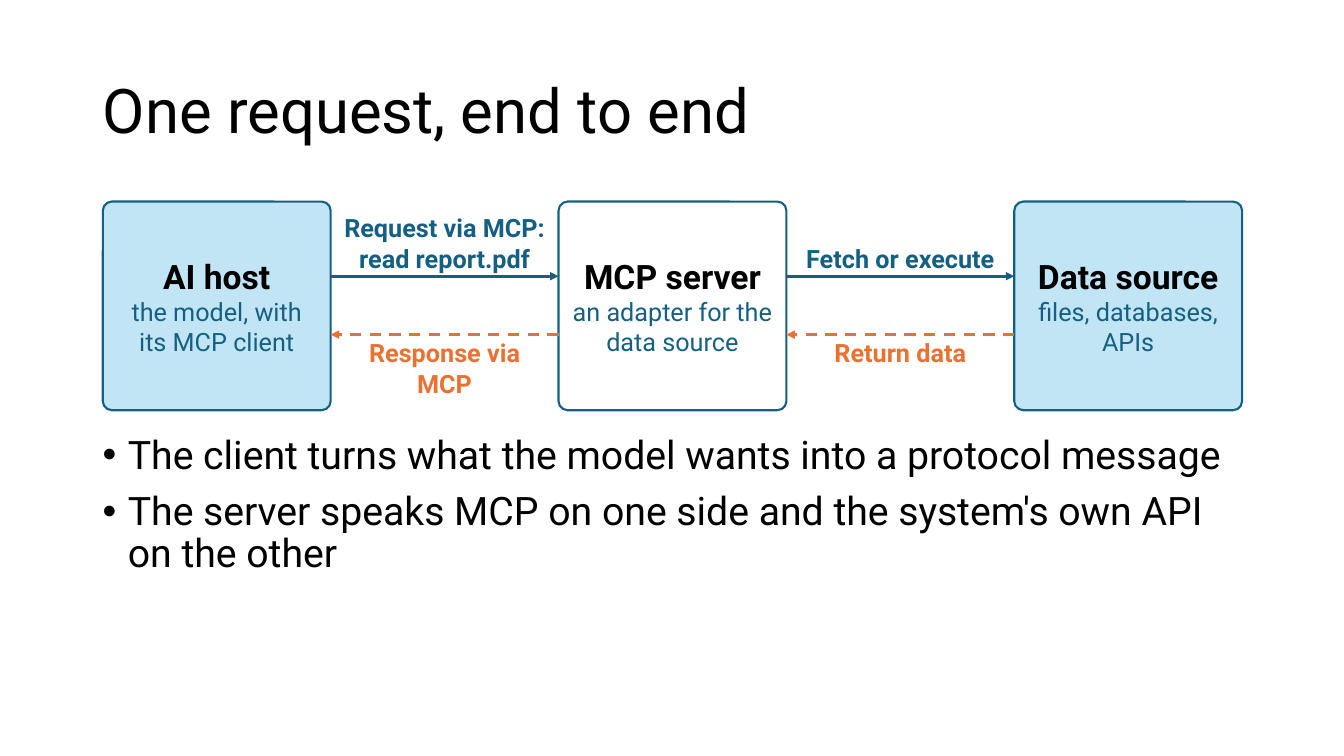
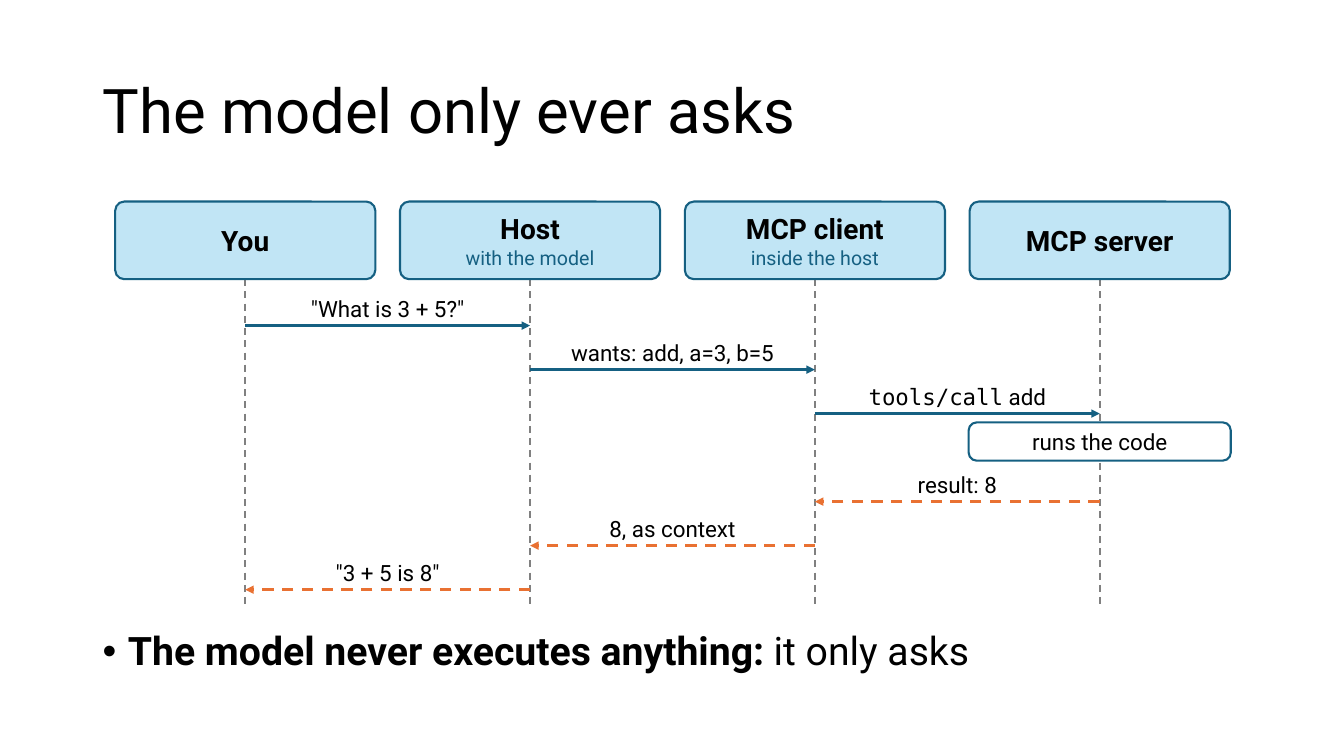
from lxml import etree
from pptx import Presentation
from pptx import util as u
from pptx.dml.color import RGBColor
from pptx.enum import dml, shapes, text
from pptx.oxml.ns import qn

BLACK = RGBColor(0x00, 0x00, 0x00)
WHITE = RGBColor(0xFF, 0xFF, 0xFF)
BLUE = RGBColor(0x15, 0x60, 0x82)
PALE_BLUE = RGBColor(0xC1, 0xE5, 0xF5)
ORANGE = RGBColor(0xE9, 0x71, 0x32)
GREY = RGBColor(0x80, 0x80, 0x80)

FONT, MONO = "Roboto", "DejaVu Sans Mono"
SLIDE_W, SLIDE_H = 13.33, 7.5
TEXT_LEFT, TEXT_W = 0.92, 11.5
DIAGRAM_LEFT, DIAGRAM_TOP, DIAGRAM_W = 1.02, 2, 11.3
CENTER, LEFT = text.PP_ALIGN.CENTER, text.PP_ALIGN.LEFT
TOP, MIDDLE, BOTTOM = (text.MSO_ANCHOR.TOP, text.MSO_ANCHOR.MIDDLE,
                       text.MSO_ANCHOR.BOTTOM)


def inches(*lengths):
    return [u.Inches(length) for length in lengths]


def write(frame, words, *, size, color=BLACK, bold=False, font=FONT,
          align=CENTER, same_line=False):
    """Add words as a new paragraph, or to the end of the last one."""
    paragraph = frame.paragraphs[-1]
    if paragraph.runs and not same_line:
        paragraph = frame.add_paragraph()
    paragraph.alignment = align
    run = paragraph.add_run()
    run.text = words
    run.font.size = u.Pt(size)
    run.font.name = font
    run.font.bold = bold
    run.font.color.rgb = color
    return paragraph


def add_title(slide, words):
    title = slide.shapes.title
    title.left, title.top, title.width, title.height = inches(
        TEXT_LEFT, 0.4, TEXT_W, 1.45)
    frame = title.text_frame
    frame.auto_size = text.MSO_AUTO_SIZE.NONE
    frame.vertical_anchor = MIDDLE
    write(frame, words, size=44, align=LEFT).line_spacing = 0.9


def add_bullets(slide, top, height, items):
    """Each item is a list of (words, bold) pairs."""
    box = slide.shapes.add_textbox(*inches(TEXT_LEFT, top, TEXT_W, height))
    frame = box.text_frame
    frame.word_wrap = True
    for number, item in enumerate(items):
        for part, (words, bold) in enumerate(item):
            paragraph = write(frame, words, size=28, bold=bold, align=LEFT,
                              same_line=part > 0)
        properties = paragraph._p.get_or_add_pPr()
        properties.set("marL", str(u.Inches(0.25)))
        properties.set("indent", str(-u.Inches(0.25)))
        etree.SubElement(properties, qn("a:buFont"), typeface="Arial")
        etree.SubElement(properties, qn("a:buChar"), char="•")
        paragraph.line_spacing = 0.9
        if number:
            paragraph.space_before = u.Pt(10)


def add_box(diagram, left, top, width, height, fill=PALE_BLUE, radius=0.09):
    box = diagram.add_shape(shapes.MSO_SHAPE.ROUNDED_RECTANGLE,
                            *inches(left, top, width, height))
    box.adjustments[0] = radius / height
    box.shadow.inherit = False
    box.fill.solid()
    box.fill.fore_color.rgb = fill
    box.line.color.rgb = BLUE
    box.line.width = u.Pt(1.5)
    box.text_frame.word_wrap = True
    box.text_frame.vertical_anchor = MIDDLE
    return box.text_frame


def add_named_box(diagram, left, top, width, height, name, role,
                  name_size, role_size, fill=PALE_BLUE):
    frame = add_box(diagram, left, top, width, height, fill)
    write(frame, name, size=name_size, bold=True)
    if role:
        write(frame, role, size=role_size, color=BLUE)


def add_label(diagram, left, top, width, height, anchor=BOTTOM):
    label = diagram.add_textbox(*inches(left, top, width, height))
    frame = label.text_frame
    frame.word_wrap = True
    frame.vertical_anchor = anchor
    frame.margin_left = frame.margin_right = u.Inches(0.03)
    frame.margin_top = frame.margin_bottom = 0
    return frame


def add_line(diagram, start, end, color, width=2, dashed=False, arrow=True):
    line = diagram.add_connector(shapes.MSO_CONNECTOR.STRAIGHT,
                                 *inches(*start, *end))
    line.line.color.rgb = color
    line.line.width = u.Pt(width)
    if dashed:
        line.line.dash_style = dml.MSO_LINE.DASH
    if arrow:
        etree.SubElement(line.line._get_or_add_ln(), qn("a:tailEnd"),
                         type="triangle")
    etree.SubElement(line._element.spPr, qn("a:effectLst"))


def add_request_slide(slide):
    add_title(slide, "One request, end to end")
    diagram = slide.shapes.add_group_shape().shapes
    column = DIAGRAM_W / 5
    stations = [("AI host", "the model, with its MCP client", PALE_BLUE),
                ("MCP server", "an adapter for the data source", WHITE),
                ("Data source", "files, databases, APIs", PALE_BLUE)]
    for index, (name, role, fill) in enumerate(stations):
        add_named_box(diagram, DIAGRAM_LEFT + 2 * index * column, DIAGRAM_TOP,
                      column, 2.07, name, role, 24, 18, fill)

    exchanges = [("Request via MCP: read report.pdf", "Response via MCP"),
                 ("Fetch or execute", "Return data")]
    there_y, back_y = 2.74, 3.32
    for index, (request, response) in enumerate(exchanges):
        left = DIAGRAM_LEFT + (2 * index + 1) * column
        right = left + column
        label_left, label_w = left + 0.05, column - 0.1
        add_line(diagram, (left, there_y), (right, there_y), BLUE)
        write(add_label(diagram, label_left, 2.05, label_w, 0.66),
              request, size=18, color=BLUE, bold=True)
        add_line(diagram, (right, back_y), (left, back_y), ORANGE, dashed=True)
        write(add_label(diagram, label_left, 3.35, label_w, 0.66, TOP),
              response, size=18, color=ORANGE, bold=True)

    add_bullets(slide, 4.27, 2.49, [
        [("The client turns what the model wants into a protocol message",
          False)],
        [("The server speaks MCP on one side and the system's own API "
          "on the other", False)]])


def add_sequence_slide(slide):
    add_title(slide, "The model only ever asks")
    diagram = slide.shapes.add_group_shape().shapes
    actors = [("You", ""), ("Host", "with the model"),
              ("MCP client", "inside the host"), ("MCP server", "")]
    column = DIAGRAM_W / len(actors)
    centers = [DIAGRAM_LEFT + (index + 0.5) * column
               for index in range(len(actors))]
    actor_w, actor_h = 2.58, 0.77
    for center in centers:
        add_line(diagram, (center, DIAGRAM_TOP + actor_h), (center, 6.02),
                 GREY, width=1.25, dashed=True, arrow=False)
    for center, (name, role) in zip(centers, actors):
        add_named_box(diagram, center - actor_w / 2, DIAGRAM_TOP,
                      actor_w, actor_h, name, role, 20, 14)

    first_y, last_y = 3.23, 5.85
    row = (last_y - first_y) / 6
    # Row, sender, receiver, and the label as (words, font) pairs
    messages = [
        (0, 0, 1, [('"What is 3 + 5?"', FONT)]),
        (1, 1, 2, [("wants: add, a=3, b=5", FONT)]),
        (2, 2, 3, [("tools/call", MONO), (" add", FONT)]),
        (4, 3, 2, [("result: 8", FONT)]),
        (5, 2, 1, [("8, as context", FONT)]),
        (6, 1, 0, [('"3 + 5 is 8"', FONT)])]
    for step, sender, receiver, label in messages:
        y = first_y + step * row
        reply = receiver < sender
        frame = add_label(diagram, centers[min(sender, receiver)] + 0.1,
                          y - 0.37, column - 0.2, 0.33)
        for words, font in label:
            write(frame, words, size=16, font=font, same_line=True)
        add_line(diagram, (centers[sender], y), (centers[receiver], y),
                 ORANGE if reply else BLUE, dashed=reply)

    work_w, work_h = 2.6, 0.38
    work = add_box(diagram, centers[-1] - work_w / 2, 4.19, work_w, work_h,
                   WHITE, radius=0.08)
    write(work, "runs the code", size=16)

    add_bullets(slide, 6.22, 0.54, [
        [("The model never executes anything:", True),
         (" it only asks", False)]])


def main():
    deck = Presentation()
    deck.slide_width, deck.slide_height = inches(SLIDE_W, SLIDE_H)
    title_only = deck.slide_layouts[5]
    for build in (add_request_slide, add_sequence_slide):
        build(deck.slides.add_slide(title_only))
    deck.save("out.pptx")


if __name__ == "__main__":
    main()
